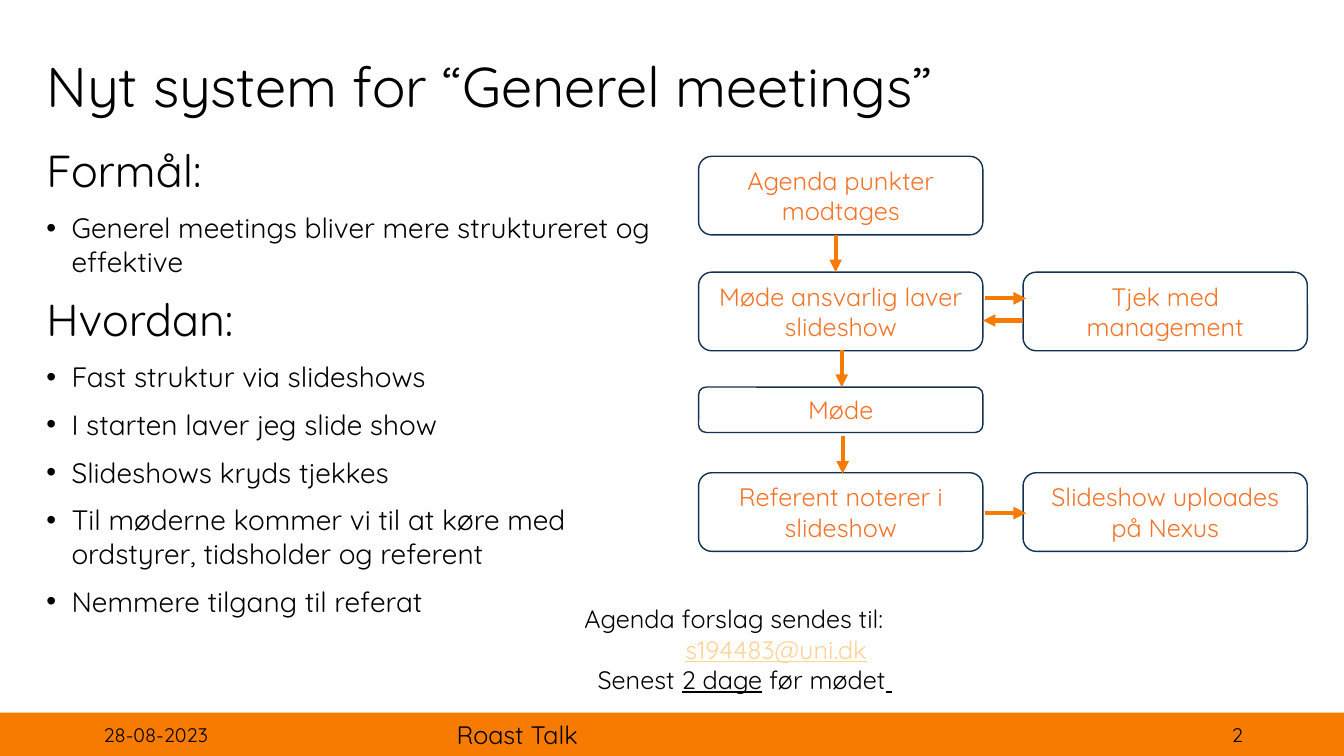
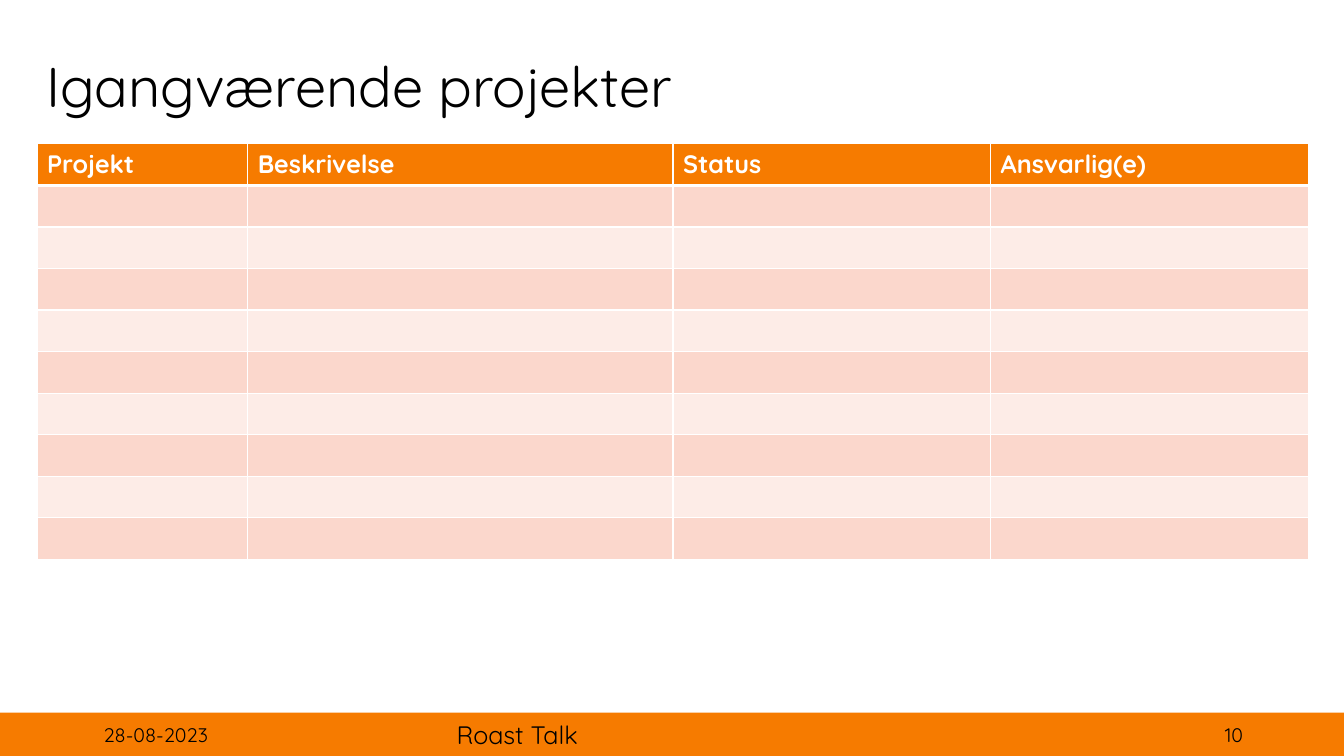
from dataclasses import dataclass
from typing import Any

import lxml.etree
import pptx
import pptx.dml.color
import pptx.enum.shapes
import pptx.enum.text
import pptx.oxml.ns
import pptx.util

COLOURS = {
    "orange": "F67B00",
    "box_text": "F37328",
    "navy": "113052",
    "white": "FFFFFF",
    "black": "000000",
    "email": "FED394",
    "band_dark": "FBD7CC",
    "band_light": "FDECE7",
}
FONT = "Quicksand"
WIDTH = pptx.util.Inches(13.333)
HEIGHT = pptx.util.Inches(7.5)
ALIGN = pptx.enum.text.PP_ALIGN
ANCHOR = pptx.enum.text.MSO_ANCHOR
FRAME_FORMAT = {"word_wrap": True, "auto_size": pptx.enum.text.MSO_AUTO_SIZE.NONE}
TITLE_FORMAT = {"alignment": ALIGN.LEFT, "line_spacing": 0.9}


@dataclass(frozen=True)
class Area:
    """Percentages of the slide's width and height."""

    left: float
    top: float
    width: float
    height: float

    def lengths(self) -> dict[str, int]:
        return {
            "left": across(self.left),
            "top": down(self.top),
            "width": across(self.width),
            "height": down(self.height),
        }


@dataclass(frozen=True)
class Step:
    text: str
    column: int
    top: float
    height: float = 10.4


@dataclass(frozen=True)
class Arrow:
    from_x: float
    from_y: float
    to_x: float
    to_y: float


@dataclass(frozen=True)
class FooterPart:
    text: str
    area: Area
    size: int = 14
    alignment: Any = ALIGN.LEFT
    anchor: Any = ANCHOR.MIDDLE


@dataclass(frozen=True)
class Line:
    text: str
    heading: bool = False


TITLE_AREA = Area(2.7, 2.13, 84.23, 19.33)
BODY_AREA = Area(2.7, 18.27, 47.33, 73.07)
BAND_AREA = Area(0, 94.27, 100, 5.73)
CONTACT_AREA = Area(42.75, 79.2, 30.38, 17.47)
STEP_COLUMNS = (51.98, 76.12)
STEP_WIDTH = 21.15
TABLE_COLUMNS = (15.68, 31.65, 23.63, 23.63)
TABLE_ROWS = 10
TABLE_ROW_HEIGHT = 5.5

PURPOSE = (
    Line("Formål:", True),
    Line("Generel meetings bliver mere struktureret og effektive"),
    Line("Hvordan:", True),
    Line("Fast struktur via slideshows"),
    Line("I starten laver jeg slide show"),
    Line("Slideshows kryds tjekkes"),
    Line("Til møderne kommer vi til at køre med ordstyrer, tidsholder og referent"),
    Line("Nemmere tilgang til referat"),
)
STEPS = (
    Step("Agenda punkter modtages", 0, 20.67),
    Step("Møde ansvarlig laver slideshow", 0, 36),
    Step("Tjek med management", 1, 36),
    Step("Møde", 0, 51.2, 6),
    Step("Referent noterer i slideshow", 0, 62.53),
    Step("Slideshow uploades på Nexus", 1, 62.53),
)
ARROWS = (
    Arrow(62.18, 31.07, 62.18, 36),
    Arrow(73.28, 39.47, 76.35, 39.47),
    Arrow(76.12, 42.4, 73.13, 42.4),
    Arrow(62.63, 46.27, 62.63, 51.2),
    Arrow(62.7, 57.73, 62.7, 62.67),
    Arrow(73.28, 67.87, 76.35, 67.87),
)
CONTACT = (
    (0, (("Agenda forslag sendes til:", "black", False),)),
    (1, (("s194483@uni.dk", "email", True),)),
    (0.13, (
        ("Senest ", "black", False),
        ("2 dage", "black", True),
        (" før mødet", "black", False),
        (" ", "black", True),
    )),
)
PROJECT_HEADINGS = ("Projekt", "Beskrivelse", "Status", "Ansvarlig(e)")


def across(share: float) -> int:
    return round(WIDTH * share / 100)


def down(share: float) -> int:
    return round(HEIGHT * share / 100)


def rgb(name: str) -> pptx.dml.color.RGBColor:
    return pptx.dml.color.RGBColor.from_string(COLOURS[name])


def set_format(target: Any, values: dict[str, Any]) -> None:
    for attribute, value in values.items():
        setattr(target, attribute, value)


def add_xml(parent: Any, tag: str, **attributes: str) -> Any:
    return lxml.etree.SubElement(parent, pptx.oxml.ns.qn(tag), attributes)


def fill_with(target: Any, colour: str) -> None:
    target.fill.solid()
    target.fill.fore_color.rgb = rgb(colour)


def write(paragraph: Any, text: str, size: int, colour: str = "black", **extra: Any) -> None:
    run = paragraph.add_run()
    run.text = text
    set_format(run.font, {"name": FONT, "size": pptx.util.Pt(size), **extra})
    run.font.color.rgb = rgb(colour)


def indent(paragraph: Any, margin: float, first: float = 0) -> Any:
    properties = paragraph._p.get_or_add_pPr()
    properties.set("marL", str(pptx.util.Inches(margin)))
    properties.set("indent", str(pptx.util.Inches(first)))
    return properties


def add_text_frame(slide: Any, area: Area) -> Any:
    frame = slide.shapes.add_textbox(**area.lengths()).text_frame
    set_format(frame, FRAME_FORMAT)
    return frame


def add_shape(slide: Any, preset: Any, area: Area, colour: str) -> Any:
    shape = slide.shapes.add_shape(preset, **area.lengths())
    shape.shadow.inherit = False
    fill_with(shape, colour)
    return shape


def add_footer(slide: Any, number: int) -> None:
    band = add_shape(slide, pptx.enum.shapes.MSO_SHAPE.RECTANGLE, BAND_AREA, "orange")
    band.line.fill.background()
    parts = (
        FooterPart("28-08-2023", Area(6.97, 94.53, 22.5, 5.33)),
        FooterPart("Roast Talk", Area(33.23, 94.53, 33.75, 5.33), 18, anchor=ANCHOR.TOP),
        FooterPart(str(number), Area(70.73, 94.53, 22.5, 5.33), alignment=ALIGN.RIGHT),
    )
    for part in parts:
        frame = add_text_frame(slide, part.area)
        frame.vertical_anchor = part.anchor
        frame.paragraphs[0].alignment = part.alignment
        write(frame.paragraphs[0], part.text, part.size)


def add_slide(deck: Any, layout: int, title: str, number: int) -> Any:
    slide = deck.slides.add_slide(deck.slide_layouts[layout])
    heading = slide.shapes.title
    set_format(heading, TITLE_AREA.lengths())
    set_format(heading.text_frame, {**FRAME_FORMAT, "vertical_anchor": ANCHOR.MIDDLE})
    paragraph = heading.text_frame.paragraphs[0]
    set_format(paragraph, TITLE_FORMAT)
    write(paragraph, title, 40)
    add_footer(slide, number)
    return slide


def write_purpose(body: Any) -> None:
    set_format(body, BODY_AREA.lengths())
    frame = body.text_frame
    set_format(frame, FRAME_FORMAT)
    for index, line in enumerate(PURPOSE):
        paragraph = frame.add_paragraph() if index else frame.paragraphs[0]
        paragraph.space_before = pptx.util.Pt(10)
        if line.heading:
            add_xml(indent(paragraph, 0), "a:buNone")
        else:
            indent(paragraph, 0.25, -0.25)
        write(paragraph, line.text, 32 if line.heading else 20)


def add_step(slide: Any, step: Step) -> None:
    area = Area(STEP_COLUMNS[step.column], step.top, STEP_WIDTH, step.height)
    box = add_shape(slide, pptx.enum.shapes.MSO_SHAPE.ROUNDED_RECTANGLE, area, "white")
    box.line.color.rgb = rgb("navy")
    box.line.width = pptx.util.Pt(1)
    set_format(box.text_frame, {**FRAME_FORMAT, "vertical_anchor": ANCHOR.MIDDLE})
    paragraph = box.text_frame.paragraphs[0]
    paragraph.alignment = ALIGN.CENTER
    write(paragraph, step.text, 18, "box_text")


def add_arrow(slide: Any, arrow: Arrow) -> None:
    connector = slide.shapes.add_connector(
        pptx.enum.shapes.MSO_CONNECTOR.STRAIGHT,
        across(arrow.from_x), down(arrow.from_y), across(arrow.to_x), down(arrow.to_y),
    )
    connector.line.color.rgb = rgb("orange")
    connector.line.width = pptx.util.Pt(3)
    add_xml(connector.line._get_or_add_ln(), "a:tailEnd", type="triangle")
    add_xml(connector._element.spPr, "a:effectLst")


def add_contact(slide: Any) -> None:
    frame = add_text_frame(slide, CONTACT_AREA)
    for index, (margin, pieces) in enumerate(CONTACT):
        paragraph = frame.add_paragraph() if index else frame.paragraphs[0]
        indent(paragraph, margin)
        for text, colour, underline in pieces:
            write(paragraph, text, 18, colour, underline=underline)


def format_cell(cell: Any, colour: str, bottom: float) -> None:
    properties = cell._tc.get_or_add_tcPr()
    for side, points in {"L": 1, "R": 1, "T": 1, "B": bottom}.items():
        border = add_xml(properties, f"a:ln{side}", w=str(pptx.util.Pt(points)))
        add_xml(add_xml(border, "a:solidFill"), "a:srgbClr", val=COLOURS["white"])
    fill_with(cell, colour)


def add_projects(slide: Any) -> None:
    area = Area(2.75, 19, sum(TABLE_COLUMNS), TABLE_ROWS * TABLE_ROW_HEIGHT)
    projects = slide.shapes.add_table(TABLE_ROWS, len(TABLE_COLUMNS), **area.lengths()).table
    projects.horz_banding = False
    for column, share in zip(projects.columns, TABLE_COLUMNS):
        column.width = across(share)
    for index, row in enumerate(projects.rows):
        row.height = down(TABLE_ROW_HEIGHT)
        band = "band_dark" if index % 2 else "band_light"
        for cell in row.cells:
            format_cell(cell, band if index else "orange", 1 if index else 3)
    for cell, heading in zip(projects.rows[0].cells, PROJECT_HEADINGS):
        write(cell.text_frame.paragraphs[0], heading, 18, "white", bold=True)


def main() -> None:
    deck = pptx.Presentation()
    set_format(deck, {"slide_width": WIDTH, "slide_height": HEIGHT})

    meetings = add_slide(deck, 1, "Nyt system for “Generel meetings”", 2)
    write_purpose(meetings.placeholders[1])
    for step in STEPS:
        add_step(meetings, step)
    for arrow in ARROWS:
        add_arrow(meetings, arrow)
    add_contact(meetings)

    add_projects(add_slide(deck, 5, "Igangværende projekter", 10))
    deck.save("out.pptx")


if __name__ == "__main__":
    main()
